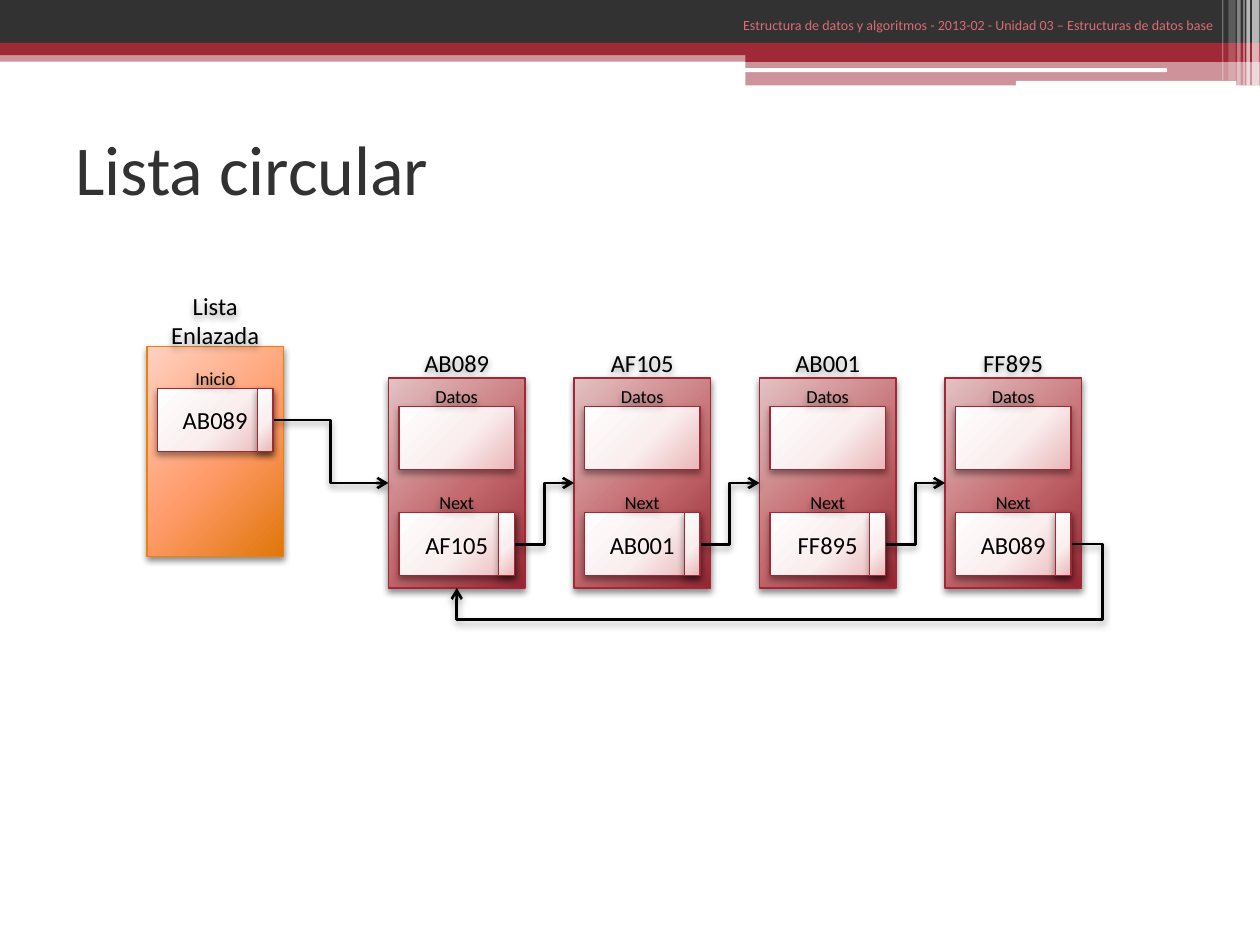
from lxml import etree
from pptx import Presentation
from pptx.dml.color import RGBColor
from pptx.enum.shapes import MSO_CONNECTOR, MSO_SHAPE
from pptx.enum.text import MSO_ANCHOR, PP_ALIGN
from pptx.oxml import parse_xml
from pptx.oxml.ns import nsdecls, qn
from pptx.util import Pt

RECT, ROUND = MSO_SHAPE.RECTANGLE, MSO_SHAPE.ROUNDED_RECTANGLE
ELBOW = MSO_CONNECTOR.ELBOW
TOP, MIDDLE = MSO_ANCHOR.TOP, MSO_ANCHOR.MIDDLE
LEFT, CENTER, RIGHT = PP_ALIGN.LEFT, PP_ALIGN.CENTER, PP_ALIGN.RIGHT

# Content
TITLE = "Lista circular"
HEADER = "Estructura de datos y algoritmos - 2013-02 - Unidad 03 – Estructuras de datos base"
START_TITLE, START_LABEL = "Lista Enlazada", "Inicio"
DATA_LABEL, NEXT_LABEL = "Datos", "Next"
ADDRESSES = ["AB089", "AF105", "AB001", "FF895"]

THEME = {
    "font": "Calibri",
    "dark": "323232", "red": "9F2936", "white": "FFFFFF", "black": "000000",
    "header": "D96B77", "orange": "F07F09",
    "node_stops": ((0, "E3C2C4"), (55, "C46A6E"), (100, "942632")),
    "start_stops": ((0, "FFD1C1"), (55, "FF9B6A"), (100, "E07608")),
    "field_stops": ((0, "FFFEFE"), (55, "FAEEEE"), (100, "EAB6B8")),
    "title_size": 40, "address_size": 14, "label_size": 10.5, "header_size": 8,
    "border": 0.75, "arrow": 1.5,
}

# Header band: shape, left, top, width, height, colour, opacity %
BAND = [
    (RECT, 0, 28.8, 720, 6.5, "red", 50),
    (RECT, 0, 0, 720, 24.5, "dark", 100),
    (RECT, 0, 24.5, 720, 7, "red", 100),
    (RECT, 426, 28.2, 294, 7.2, "red", 100),
    (RECT, 426, 34.8, 294, 14, "red", 50),
    (ROUND, 425.6, 39, 241.2, 2.2, "white", 100),
    (ROUND, 580.5, 46.2, 126, 2.8, "white", 100),
    (RECT, 715.5, 0, 4.2, 48.8, "white", 65),
    (RECT, 712.2, 0, 2, 48.8, "white", 65),
    (RECT, 710.5, 0, 0.7, 48.8, "white", 60),
    (RECT, 707, 0, 2, 48.8, "white", 40),
    (RECT, 702, 0, 4.2, 46, "white", 20),
    (RECT, 698.4, 0, 0.7, 46, "white", 30),
]

# Diagram grid
NODE_X, NODE_Y, NODE_PITCH = 222, 216, 106
NODE_W, NODE_H = 78, 120
START_X, START_Y = 84, 198
FIELD_DX, FIELD_W, FIELD_H = 6, 66, 36
DATA_DY, NEXT_DY, START_DY = 16.5, 77, 24
LABEL_H, TAB_W, RETURN_GAP = 12, 9, 18

prs = Presentation()
prs.slide_width, prs.slide_height = Pt(720), Pt(540)
slide = prs.slides.add_slide(prs.slide_layouts[6])


def color(key):
    return RGBColor.from_string(THEME[key])


def add_shadow(item, alpha):
    item._element.spPr.append(parse_xml(
        f'<a:effectLst {nsdecls("a")}><a:outerShdw blurRad="{Pt(4)}" dist="{Pt(2)}" '
        f'dir="5400000" rotWithShape="0"><a:srgbClr val="{THEME["black"]}">'
        f'<a:alpha val="{alpha * 1000}"/></a:srgbClr></a:outerShdw></a:effectLst>'))


def write(item, text, size, ink="black", align=CENTER, anchor=MIDDLE, inset=0):
    frame = item.text_frame
    frame_format = {"word_wrap": True, "vertical_anchor": anchor}
    for side in ("left", "right"):
        frame_format["margin_" + side] = Pt(inset)
    for side in ("top", "bottom"):
        frame_format["margin_" + side] = Pt(inset / 2)
    for name, value in frame_format.items():
        setattr(frame, name, value)
    paragraph = frame.paragraphs[0]
    paragraph.alignment = align
    run = paragraph.add_run()
    run.text = text
    font_format = {"name": THEME["font"], "size": Pt(THEME[size])}
    for name, value in font_format.items():
        setattr(run.font, name, value)
    run.font.color.rgb = color(ink)


def add_text(x, y, w, h, *args, **options):
    box = slide.shapes.add_textbox(Pt(x), Pt(y), Pt(w), Pt(h))
    write(box, *args, **options)
    return box


def add_label(*args):
    add_shadow(add_text(*args), 40)


def add_band(kind, x, y, w, h, key, opacity):
    band = slide.shapes.add_shape(kind, Pt(x), Pt(y), Pt(w), Pt(h))
    band.shadow.inherit = False
    band.line.fill.background()
    band.fill.solid()
    band.fill.fore_color.rgb = color(key)
    if opacity < 100:
        rgb = band._element.spPr.find(qn("a:solidFill"))[0]
        etree.SubElement(rgb, qn("a:alpha")).set("val", str(opacity * 1000))


def add_box(x, y, w, h, stops, border="red", alpha=40):
    box = slide.shapes.add_shape(RECT, Pt(x), Pt(y), Pt(w), Pt(h))
    box.line.color.rgb = color(border)
    box.line.width = Pt(THEME["border"])
    box.fill.solid()
    marks = "".join(f'<a:gs pos="{pos * 1000}"><a:srgbClr val="{rgb}"/></a:gs>'
                    for pos, rgb in THEME[stops])
    props = box._element.spPr
    props.replace(props.find(qn("a:solidFill")), parse_xml(
        f'<a:gradFill {nsdecls("a")} rotWithShape="1"><a:gsLst>{marks}</a:gsLst>'
        '<a:path path="circle"><a:fillToRect l="-40000" t="-90000" r="140000" b="190000"/>'
        '</a:path></a:gradFill>'))
    add_shadow(box, alpha)
    return box


def add_field(node_x, y, label, value=None):
    x = node_x + FIELD_DX
    field = add_box(x, y, FIELD_W, FIELD_H, "field_stops")
    add_label(x, y - LABEL_H, FIELD_W, LABEL_H, label, "label_size")
    if value:
        write(field, value, "address_size")


def add_arrow(x1, y1, x2, y2):
    arrow = slide.shapes.add_connector(ELBOW, Pt(x1), Pt(y1), Pt(x2), Pt(y2))
    arrow.line.color.rgb = color("black")
    arrow.line.width = Pt(THEME["arrow"])
    etree.SubElement(arrow.line._get_or_add_ln(), qn("a:tailEnd")).set("type", "arrow")
    add_shadow(arrow, 40)
    return arrow


# Header band and title
for part in BAND:
    add_band(*part)
add_text(36, 54, 648, 84, TITLE, "title_size", "dark", LEFT, inset=7.2)

# Start of the list
add_box(START_X, START_Y, NODE_W, NODE_H, "start_stops", "orange", 45)
add_field(START_X, START_Y + START_DY, START_LABEL, ADDRESSES[0])
add_label(START_X, START_Y - 30, NODE_W, 30, START_TITLE, "address_size")

# Nodes, each holding the address of the next
node_xs = [NODE_X + i * NODE_PITCH for i in range(len(ADDRESSES))]
next_y = NODE_Y + NEXT_DY
for x, address, following in zip(node_xs, ADDRESSES, ADDRESSES[1:] + ADDRESSES[:1]):
    add_label(x, NODE_Y - 18, NODE_W, 18, address, "address_size")
    add_box(x, NODE_Y, NODE_W, NODE_H, "node_stops", alpha=45)
    add_field(x, NODE_Y + DATA_DY, DATA_LABEL)
    add_field(x, next_y, NEXT_LABEL, following)

# Links from each pointer to the node it names
pointers = [(START_X, START_Y + START_DY)] + [(x, next_y) for x in node_xs]
exits = [(x + FIELD_DX + FIELD_W, y + FIELD_H / 2) for x, y in pointers]
for (x, y), target_x in zip(exits, node_xs):
    add_arrow(x, y, target_x, NODE_Y + NODE_H / 2)

# Link from the last node around to the first
last_x, last_y = exits[-1]
first_x, bottom = NODE_X + NODE_W / 2, NODE_Y + NODE_H
return_link = add_arrow(last_x, last_y, first_x, bottom)
bends = (-RETURN_GAP / (last_x - first_x),
         (bottom + RETURN_GAP - last_y) / (bottom - last_y))
geometry = return_link._element.spPr.find(qn("a:prstGeom"))
geometry.set("prst", "bentConnector4")
guides = geometry.find(qn("a:avLst"))
for number, bend in enumerate(bends, 1):
    guide = etree.SubElement(guides, qn("a:gd"))
    guide.set("name", f"adj{number}")
    guide.set("fmla", f"val {round(bend * 100000)}")

# Pointer tabs at the right edge of the fields
for x, y in pointers[1:] + pointers[:1]:
    add_box(x + FIELD_DX + FIELD_W - TAB_W, y, TAB_W, FIELD_H, "field_stops")

add_text(336, 5.8, 365, 18, HEADER, "header_size", "header", RIGHT, TOP, 7.2)

prs.save("out.pptx")
